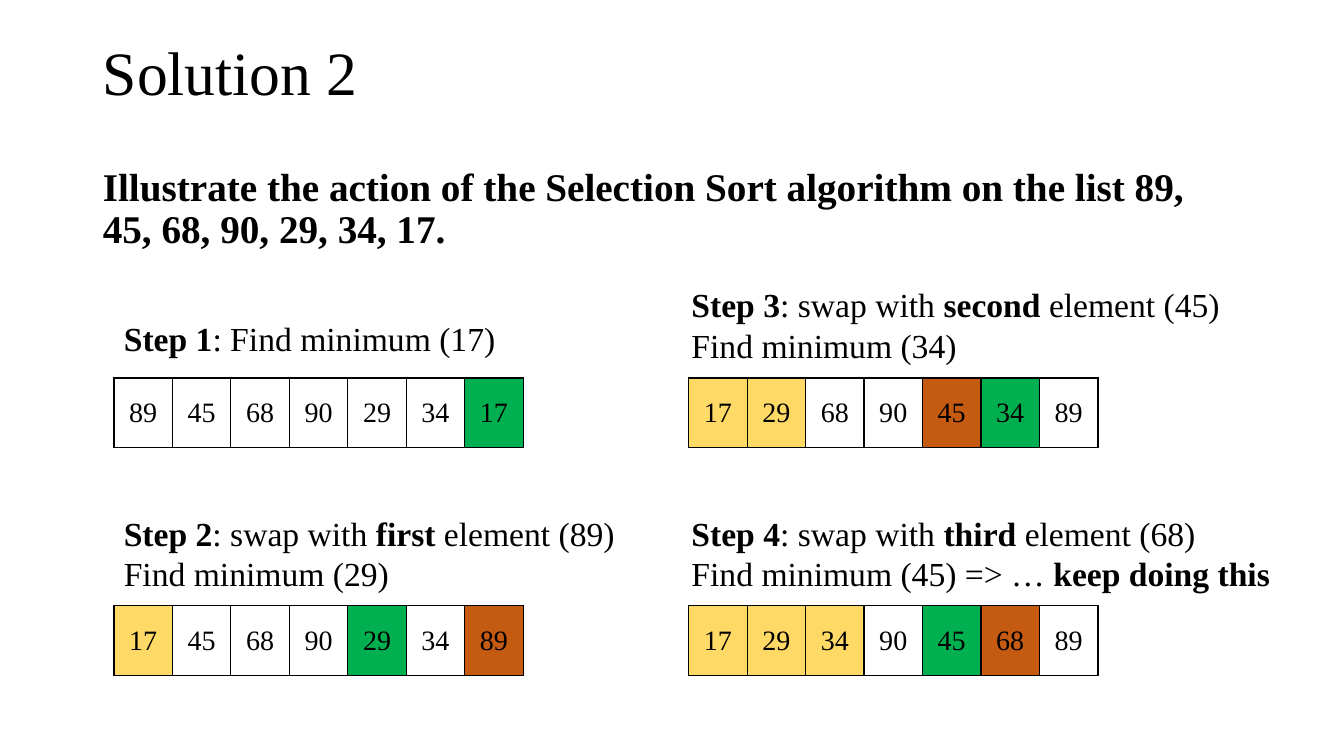
import dataclasses
import typing

import pptx
import pptx.dml.color
import pptx.enum.text
import pptx.oxml
import pptx.oxml.ns
import pptx.util

Inches = pptx.util.Inches
Align = pptx.enum.text.PP_ALIGN
Anchor = pptx.enum.text.MSO_ANCHOR
AutoSize = pptx.enum.text.MSO_AUTO_SIZE


@dataclasses.dataclass(frozen=True)
class Theme:
    font: str = "Times New Roman"
    ink: str = "000000"
    sorted_fill: str = "FFD966"
    minimum_fill: str = "00B050"
    swapped_fill: str = "C55A11"
    title_size: int = 44
    body_size: int = 28
    caption_size: int = 24
    cell_size: int = 20
    border_width: int = 1


class Span(typing.NamedTuple):
    text: str
    bold: bool = False


class Box(typing.NamedTuple):
    left: float
    top: float
    width: float
    height: float

    def lengths(self) -> list[int]:
        return [Inches(value) for value in self]


@dataclasses.dataclass(frozen=True)
class Step:
    caption: list[list[Span]]
    caption_box: Box
    array_left: float
    array_top: float
    values: list[int]
    sorted_count: int
    minimum: int
    swapped: typing.Optional[int] = None

    def fill_of(self, index: int) -> typing.Optional[str]:
        if index < self.sorted_count:
            return THEME.sorted_fill
        marked = {self.minimum: THEME.minimum_fill, self.swapped: THEME.swapped_fill}
        return marked.get(self.values[index])


THEME = Theme()
CELL_WIDTH, CELL_HEIGHT = 0.58, 0.69
LEFT_COLUMN, RIGHT_COLUMN = 1.13, 6.83
UPPER_ROW, LOWER_ROW = 3.75, 6.01


def swap_caption(number: int, ordinal: str, swapped: int, minimum: int,
                 ending: typing.Sequence[Span] = ()) -> list[list[Span]]:
    return [
        [Span(f"Step {number}", True), Span(": swap with "),
         Span(ordinal, True), Span(f" element ({swapped})")],
        [Span(f"Find minimum ({minimum})"), *ending],
    ]


STEPS = [
    Step([[Span("Step 1", True), Span(": Find minimum (17)")]],
         Box(1.13, 3.1, 3.92, 0.5), LEFT_COLUMN, UPPER_ROW,
         [89, 45, 68, 90, 29, 34, 17], 0, 17),
    Step(swap_caption(2, "first", 89, 29),
         Box(1.13, 5.04, 5.36, 0.91), LEFT_COLUMN, LOWER_ROW,
         [17, 45, 68, 90, 29, 34, 89], 1, 29, 89),
    Step(swap_caption(3, "second", 45, 34),
         Box(6.76, 2.77, 5.45, 0.91), RIGHT_COLUMN, UPPER_ROW,
         [17, 29, 68, 90, 45, 34, 89], 2, 34, 45),
    Step(swap_caption(4, "third", 68, 45,
                      [Span(" => … "), Span("keep doing this", True)]),
         Box(6.76, 5.04, 5.99, 0.91), RIGHT_COLUMN, LOWER_ROW,
         [17, 29, 34, 90, 45, 68, 89], 3, 45, 68),
]


def color(value: str) -> pptx.dml.color.RGBColor:
    return pptx.dml.color.RGBColor.from_string(value)


def add_span(paragraph, span: Span, size: int) -> None:
    run = paragraph.add_run()
    run.text = span.text
    run.font.name = THEME.font
    run.font.size = pptx.util.Pt(size)
    run.font.bold = span.bold
    run.font.color.rgb = color(THEME.ink)


def fill_placeholder(shape, box: Box, span: Span, size: int, anchor: Anchor):
    """Move a placeholder, write one left-aligned paragraph and return it."""
    shape.left, shape.top, shape.width, shape.height = box.lengths()
    frame = shape.text_frame
    frame.auto_size = AutoSize.NONE
    frame.vertical_anchor = anchor
    paragraph = frame.paragraphs[0]
    paragraph.alignment = Align.LEFT
    paragraph.line_spacing = 0.9
    add_span(paragraph, span, size)
    return paragraph


def remove_bullet(paragraph) -> None:
    properties = paragraph._p.get_or_add_pPr()
    properties.set("marL", "0")
    properties.set("indent", "0")
    properties.append(pptx.oxml.parse_xml(
        f"<a:buNone {pptx.oxml.ns.nsdecls('a')}/>"))


def add_borders(cell) -> None:
    properties = cell._tc.get_or_add_tcPr()
    width = pptx.util.Pt(THEME.border_width)
    for side in ("lnL", "lnR", "lnT", "lnB"):
        properties.append(pptx.oxml.parse_xml(
            f'<a:{side} {pptx.oxml.ns.nsdecls("a")} w="{width}"><a:solidFill>'
            f'<a:srgbClr val="{THEME.ink}"/></a:solidFill></a:{side}>'))


def add_array(slide, step: Step) -> None:
    count = len(step.values)
    box = Box(step.array_left, step.array_top, CELL_WIDTH * count, CELL_HEIGHT)
    table = slide.shapes.add_table(1, count, *box.lengths()).table
    table.first_row = table.horz_banding = False
    for index, value in enumerate(step.values):
        table.columns[index].width = Inches(CELL_WIDTH)
        cell = table.cell(0, index)
        cell.vertical_anchor = Anchor.MIDDLE
        add_borders(cell)
        fill = step.fill_of(index)
        if fill:
            cell.fill.solid()
            cell.fill.fore_color.rgb = color(fill)
        else:
            cell.fill.background()
        paragraph = cell.text_frame.paragraphs[0]
        paragraph.alignment = Align.CENTER
        add_span(paragraph, Span(str(value)), THEME.cell_size)


def add_caption(slide, step: Step) -> None:
    frame = slide.shapes.add_textbox(*step.caption_box.lengths()).text_frame
    frame.word_wrap = True
    frame.auto_size = AutoSize.SHAPE_TO_FIT_TEXT
    paragraph = frame.paragraphs[0]
    for number, line in enumerate(step.caption):
        if number:
            paragraph.add_line_break()
        for span in line:
            add_span(paragraph, span, THEME.caption_size)


def main() -> None:
    presentation = pptx.Presentation()
    presentation.slide_width = Inches(13.33)
    presentation.slide_height = Inches(7.5)
    slide = presentation.slides.add_slide(presentation.slide_layouts[1])
    fill_placeholder(slide.shapes.title, Box(0.92, 0.02, 11.5, 1.45),
                     Span("Solution 2"), THEME.title_size, Anchor.MIDDLE)
    task = fill_placeholder(
        slide.placeholders[1], Box(0.92, 1.61, 11.5, 5.14),
        Span("Illustrate the action of the Selection Sort algorithm on the list "
             "89, 45, 68, 90, 29, 34, 17.", True),
        THEME.body_size, Anchor.TOP)
    task.space_before = pptx.util.Pt(10)
    remove_bullet(task)
    for step in STEPS:
        add_array(slide, step)
    for step in STEPS:
        add_caption(slide, step)
    presentation.save("out.pptx")


if __name__ == "__main__":
    main()
